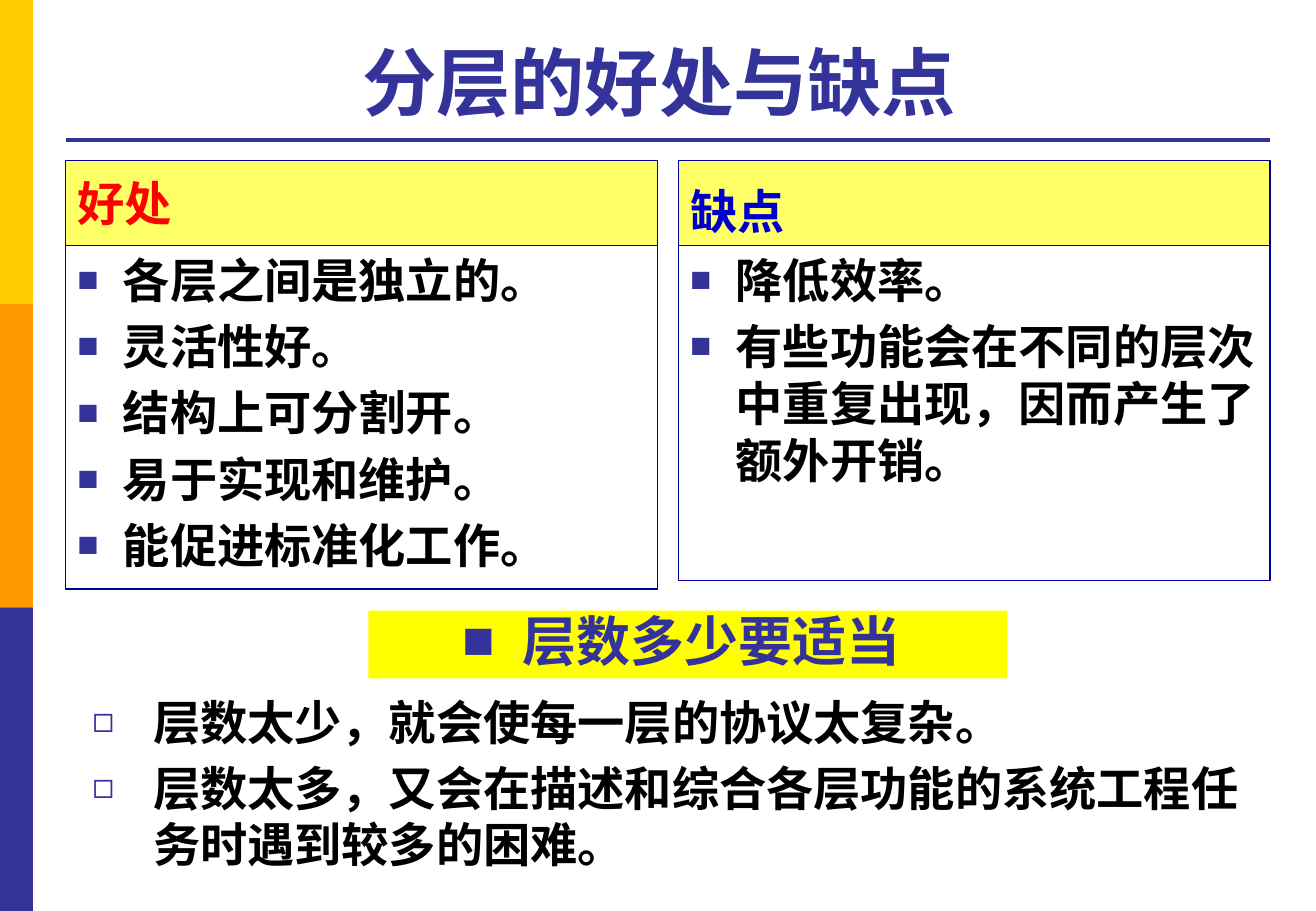
from lxml import etree
from pptx import Presentation
from pptx import util as u
from pptx.dml import color
from pptx.enum import shapes, text
from pptx.oxml import ns

COLORS = {
    "gold": "FFCC00", "orange": "FF9900", "indigo": "333399",
    "cream": "FFFF66", "yellow": "FFFF00", "navy": "000099",
    "red": "FF0000", "blue": "0000CC", "black": "000000",
}
WIDTH, HEIGHT = 27.51, 19.05
MARGIN, CONTENT_WIDTH = 1.37, 25.18
ANCHOR, ALIGN = text.MSO_ANCHOR, text.PP_ALIGN


def rgb(name):
    return color.RGBColor.from_string(COLORS[name])


def apply(target, values):
    for key, value in values.items():
        setattr(target, key, value)


def add_block(slide, box, fill=None, line=None):
    block = slide.shapes.add_shape(shapes.MSO_SHAPE.RECTANGLE, *map(u.Cm, box))
    block.shadow.inherit = False
    if fill:
        block.fill.solid()
        block.fill.fore_color.rgb = rgb(fill)
    else:
        block.fill.background()
    if line:
        block.line.color.rgb = rgb(line)
        block.line.width = u.Pt(0.75)
    else:
        block.line.fill.background()
    return block


def add_bullet(paragraph, symbol, indent, size):
    properties = paragraph._p.get_or_add_pPr()
    properties.set("marL", str(u.Cm(indent)))
    properties.set("indent", str(-u.Cm(indent)))
    tint = etree.SubElement(properties, ns.qn("a:buClr"))
    etree.SubElement(tint, ns.qn("a:srgbClr"), val=COLORS["indigo"])
    etree.SubElement(properties, ns.qn("a:buSzPct"), val=str(size * 1000))
    etree.SubElement(properties, ns.qn("a:buFont"), typeface="Arial")
    etree.SubElement(properties, ns.qn("a:buChar"), char=symbol)


def write(holder, lines, tint="black", size=28, anchor=ANCHOR.TOP,
          align=ALIGN.LEFT, before=5.6, bullet=None):
    frame = holder.text_frame
    apply(frame, {"word_wrap": True, "vertical_anchor": anchor})
    for index, line in enumerate(lines):
        paragraph = frame.add_paragraph() if index else frame.paragraphs[0]
        apply(paragraph, {"alignment": align, "space_before": u.Pt(before)})
        if bullet:
            add_bullet(paragraph, *bullet)
        run = paragraph.add_run()
        run.text = line
        apply(run.font, {"name": "Arial", "size": u.Pt(size), "bold": True})
        run.font.color.rgb = rgb(tint)


def add_side_band(slide, left, top, width, height):
    part = height / 3
    for index, fill in enumerate(("gold", "orange", "indigo")):
        add_block(slide, (left, top + index * part, width, part), fill)


def add_heading(slide, left, top, width, height):
    heading = slide.shapes.add_textbox(*map(u.Cm, (left, top, width, height)))
    write(heading, ["分层的好处与缺点 "], "indigo", 44, ANCHOR.BOTTOM, ALIGN.CENTER, 0)
    level = u.Cm(top + height + 0.18)
    rule = slide.shapes.add_connector(
        shapes.MSO_CONNECTOR.STRAIGHT, u.Cm(left), level, u.Cm(left + width), level)
    rule.line.color.rgb = rgb("indigo")
    rule.line.width = u.Pt(2.25)
    etree.SubElement(rule._element.spPr, ns.qn("a:effectLst"))


def add_panel(slide, left, top, width, height, label, tint, anchor, points):
    label_height = 1.78
    header = add_block(slide, (left, top, width, label_height), "cream", "navy")
    write(header, [label], tint, anchor=anchor)
    body = add_block(
        slide, (left, top + label_height, width, height - label_height), line="navy")
    write(body, points, bullet=("■", 0.95, 75))


def add_advice(slide, left, top, width, height):
    banner_height = 1.42
    details = slide.shapes.add_textbox(
        *map(u.Cm, (left, top + banner_height, width, height - banner_height)))
    write(details, [
        "层数太少，就会使每一层的协议太复杂。",
        "层数太多，又会在描述和综合各层功能的系统工程任务时遇到较多的困难。",
    ], anchor=ANCHOR.BOTTOM, bullet=("◻", 1.27, 75))
    banner = add_block(slide, (left + 6.02, top, 13.36, banner_height), "yellow")
    write(banner, ["层数多少要适当 "], "indigo", 32, ANCHOR.BOTTOM, ALIGN.CENTER, 0,
          ("■", 1.27, 100))


def main():
    deck = Presentation()
    apply(deck, {"slide_width": u.Cm(WIDTH), "slide_height": u.Cm(HEIGHT)})
    slide = deck.slides.add_slide(deck.slide_layouts[6])
    add_side_band(slide, 0, 0, 0.69, HEIGHT)
    add_heading(slide, MARGIN, 0.53, CONTENT_WIDTH, 2.21)
    panel_width = 12.37
    panels = [
        (8.97, "好处", "red", ANCHOR.MIDDLE,
         ["各层之间是独立的。", "灵活性好。", "结构上可分割开。",
          "易于实现和维护。", "能促进标准化工作。"]),
        (8.79, "缺点", "blue", ANCHOR.BOTTOM,
         ["降低效率。", "有些功能会在不同的层次中重复出现，因而产生了额外开销。"]),
    ]
    for index, (height, *content) in enumerate(panels):
        left = MARGIN + index * (CONTENT_WIDTH - panel_width)
        add_panel(slide, left, 3.35, panel_width, height, *content)
    add_advice(slide, 1.68, 12.77, CONTENT_WIDTH, 5.6)
    deck.save("out.pptx")


if __name__ == "__main__":
    main()
